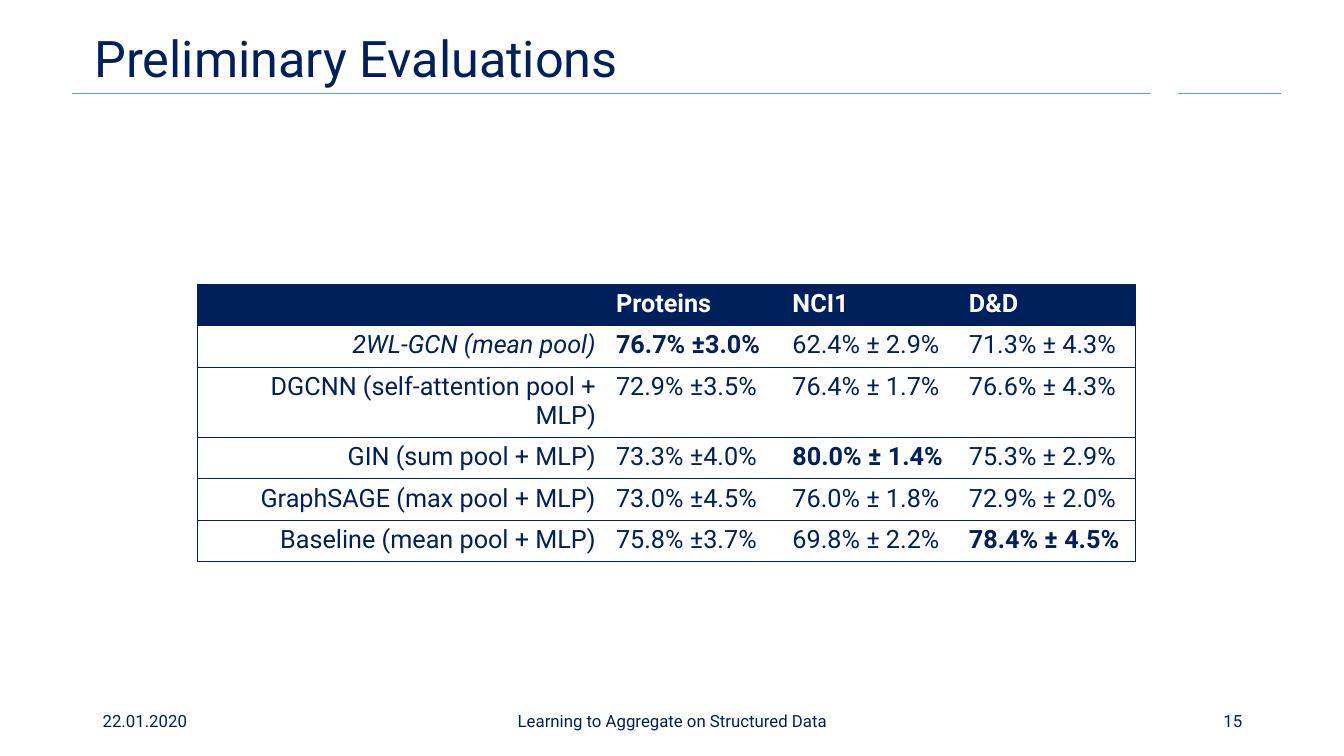
from lxml import etree
from pptx import Presentation
from pptx.dml.color import RGBColor
from pptx.enum.shapes import MSO_CONNECTOR
from pptx.enum.text import MSO_ANCHOR, PP_ALIGN
from pptx.oxml.ns import qn
from pptx.util import Inches, Pt

NAVY = RGBColor(0x00, 0x20, 0x5B)
TEAL = RGBColor(0x4B, 0xAC, 0xC6)
WHITE = RGBColor(0xFF, 0xFF, 0xFF)
LEFT, CENTER, RIGHT = PP_ALIGN.LEFT, PP_ALIGN.CENTER, PP_ALIGN.RIGHT
BOTTOM, MIDDLE = MSO_ANCHOR.BOTTOM, MSO_ANCHOR.MIDDLE
STRAIGHT = MSO_CONNECTOR.STRAIGHT

# Layout in inches
SLIDE_WIDTH, SLIDE_HEIGHT = 13.33, 7.5
RULE_TOP = 0.93
FOOTER_LEFT, FOOTER_TOP, FOOTER_HEIGHT, FOOTER_GAP = 0.92, 6.95, 0.4, 0.5
TABLE_LEFT, TABLE_TOP, ROW_HEIGHT = 1.96, 2.82, 0.41
COLUMN_WIDTHS = [4.05] + [1.75] * 3

presentation = Presentation()
presentation.slide_width = Inches(SLIDE_WIDTH)
presentation.slide_height = Inches(SLIDE_HEIGHT)
slide = presentation.slides.add_slide(presentation.slide_layouts[6])


def write(paragraph, text, align, **formats):
    paragraph.alignment = align
    font = paragraph.add_run().font
    paragraph.runs[0].text = text
    color = formats.pop("color", NAVY)
    for name, value in {"name": "Roboto", **formats}.items():
        setattr(font, name, value)
    font.color.rgb = color


def add_text(text, left, top, width, height, size, align, anchor):
    box = slide.shapes.add_textbox(*map(Inches, (left, top, width, height)))
    box.text_frame.word_wrap = True
    box.text_frame.vertical_anchor = anchor
    write(box.text_frame.paragraphs[0], text, align, size=Pt(size))
    return box.text_frame.paragraphs[0]


# Rules under the title
for start, end in [(0.71, 11.42), (11.68, 12.71)]:
    rule = slide.shapes.add_connector(
        STRAIGHT, *map(Inches, (start, RULE_TOP, end, RULE_TOP)))
    rule.line.color.rgb = TEAL
    rule.line.width = Pt(1)
    etree.SubElement(rule.element.spPr, qn("a:effectLst"))

# Title
title = add_text("Preliminary Evaluations", 0.84, 0.21, 11.58, 0.72, 36, LEFT, BOTTOM)
title.line_spacing = 0.9

# Footer: date, talk, slide number
footer_left = FOOTER_LEFT
for text, width, align in [
    ("22.01.2020", 3, LEFT),
    ("Learning to Aggregate on Structured Data", 4.5, CENTER),
    ("15", 3, RIGHT),
]:
    add_text(text, footer_left, FOOTER_TOP, width, FOOTER_HEIGHT, 12, align, MIDDLE)
    footer_left += width + FOOTER_GAP

# Results table
results = [
    ["", "Proteins", "NCI1", "D&D"],
    ["2WL-GCN (mean pool)", "76.7% ±3.0%", "62.4% ± 2.9%", "71.3% ± 4.3%"],
    ["DGCNN (self-attention pool + MLP)", "72.9% ±3.5%", "76.4% ± 1.7%", "76.6% ± 4.3%"],
    ["GIN (sum pool + MLP)", "73.3% ±4.0%", "80.0% ± 1.4%", "75.3% ± 2.9%"],
    ["GraphSAGE (max pool + MLP)", "73.0% ±4.5%", "76.0% ± 1.8%", "72.9% ± 2.0%"],
    ["Baseline (mean pool + MLP)", "75.8% ±3.7%", "69.8% ± 2.2%", "78.4% ± 4.5%"],
]
best_cells = {(1, 1), (3, 2), (5, 3)}
last_column = len(COLUMN_WIDTHS) - 1
table = slide.shapes.add_table(
    len(results), len(COLUMN_WIDTHS), Inches(TABLE_LEFT), Inches(TABLE_TOP),
    Inches(sum(COLUMN_WIDTHS)), Inches(ROW_HEIGHT * len(results))).table
table.first_row = table.horz_banding = False
for column, width in zip(table.columns, COLUMN_WIDTHS):
    column.width = Inches(width)

for row_index, values in enumerate(results):
    table.rows[row_index].height = Inches(ROW_HEIGHT)
    is_header = row_index == 0
    for column_index, value in enumerate(values):
        cell = table.cell(row_index, column_index)
        is_label = column_index == 0

        # Horizontal lines everywhere, vertical lines only at the outer edges
        properties = cell._tc.get_or_add_tcPr()
        edges = {"lnL": is_label, "lnR": column_index == last_column,
                 "lnT": True, "lnB": True}
        for edge, visible in edges.items():
            line = etree.SubElement(properties, qn(f"a:{edge}"), w=str(Pt(0.5)))
            if visible:
                fill = etree.SubElement(line, qn("a:solidFill"))
                etree.SubElement(fill, qn("a:srgbClr"), val=str(NAVY))
            else:
                etree.SubElement(line, qn("a:noFill"))

        if is_header:
            cell.fill.solid()
            cell.fill.fore_color.rgb = NAVY
        else:
            cell.fill.background()
        if value:
            write(cell.text_frame.paragraphs[0], value, RIGHT if is_label else LEFT,
                  size=Pt(18), color=WHITE if is_header else NAVY,
                  bold=is_header or (row_index, column_index) in best_cells,
                  italic=is_label and row_index == 1)

presentation.save("out.pptx")
